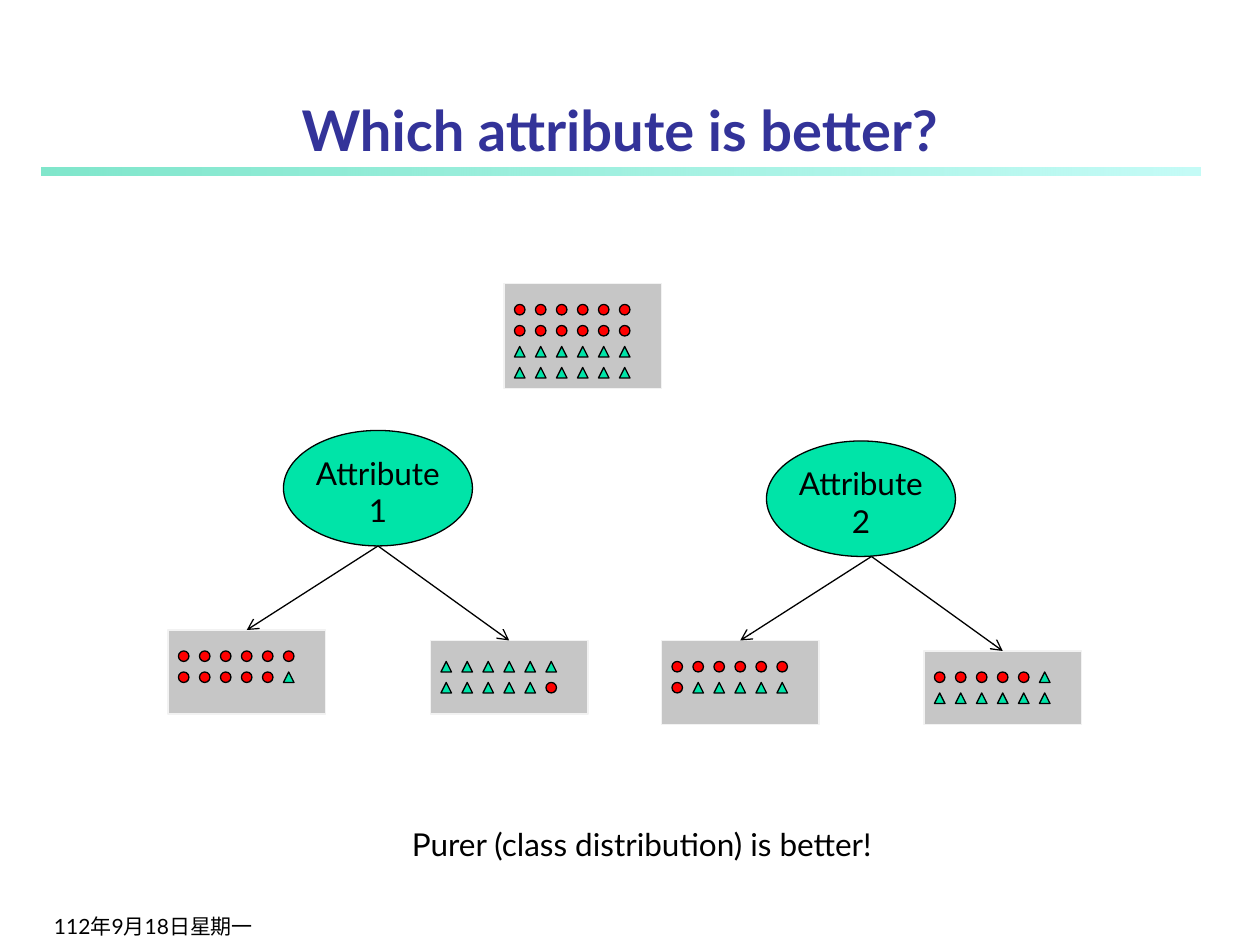
from lxml import etree
from pptx import Presentation
from pptx.dml.color import RGBColor
from pptx.enum import shapes as sh, text as tx
from pptx.oxml import ns
from pptx.util import Inches, Pt

FONT = "Lato"
COLORS = {"black": "000000", "title": "333399", "red": "FF0000", "green": "00E4A8",
          "box": "C6C6C6", "edge": "F2F2F2", "bar": "00CE98", "fade": "8FF9EF"}
KINDS = {"o": (sh.MSO_SHAPE.OVAL, "red"),
         "^": (sh.MSO_SHAPE.ISOSCELES_TRIANGLE, "green")}

# All diagram positions are in twelfths of an inch.
ROOT = ((48, 27, 15, 10), ["oooooo", "oooooo", "^^^^^^", "^^^^^^"])
TREES = [
    {"oval": (27, 41, 18, 11), "lines": ["Attribute", "1"], "start": (36, 52),
     "leaves": [((16, 60, 15, 8), ["oooooo", "ooooo^"]),
                ((41, 61, 15, 7), ["^^^^^^", "^^^^^o"])]},
    {"oval": (73, 42, 18, 11), "lines": ["Attribute", "2"], "start": (83, 53),
     "leaves": [((63, 61, 15, 8), ["oooooo", "o^^^^^"]),
                ((88, 62, 15, 7), ["ooooo^", "^^^^^^"])]},
]
LEFT, MID = tx.PP_ALIGN.LEFT, tx.PP_ALIGN.CENTER
TOP, LOW = tx.MSO_ANCHOR.TOP, tx.MSO_ANCHOR.BOTTOM
# text, place in inches, size, colour, bold, alignment, anchor, wrap
TEXTS = [
    ("112年9月18日星期一", (0.33, 7.08, 2.08, 0.42), 12, "black", False, LEFT, LOW, True),
    ("Which attribute is better?", (0.42, 0.17, 9, 1.17), 32, "title", True, MID, LOW, True),
    ("Purer (class distribution) is better!", (3.17, 6.5, 4, 0.4), 18, "black", False,
     LEFT, TOP, False),
]

prs = Presentation()
prs.slide_width, prs.slide_height = Inches(10), Inches(7.5)
slide = prs.slides.add_slide(prs.slide_layouts[6])


def rgb(name):
    return RGBColor.from_string(COLORS[name])


def unit(*nums):
    return [Inches(n / 12) for n in nums]


def write(shape, lines, size, color, bold, align, anchor, wrap):
    frame = shape.text_frame
    frame.word_wrap, frame.vertical_anchor = wrap, anchor
    for i, line in enumerate(lines):
        para = frame.add_paragraph() if i else frame.paragraphs[0]
        para.alignment = align
        run = para.add_run()
        run.text = line
        run.font.name, run.font.size, run.font.bold = FONT, Pt(size), bold
        run.font.color.rgb = rgb(color)


def draw(kind, place, fill, line="black"):
    shape = slide.shapes.add_shape(kind, *unit(*place))
    shape.shadow.inherit = False
    shape.fill.solid()
    shape.fill.fore_color.rgb = rgb(fill)
    shape.line.color.rgb = rgb(line)
    shape.line.width = Pt(0.75)
    return shape


def sample(place, rows):
    """Draw a box holding a grid of class marks."""
    box = draw(sh.MSO_SHAPE.RECTANGLE, place, "box", "edge")
    for r, row in enumerate(rows):
        for c, mark in enumerate(row):
            kind, fill = KINDS[mark]
            draw(kind, (place[0] + 1 + 2 * c, place[1] + 2 + 2 * r, 1, 1), fill)
    return box


def arrow(start, box):
    line = slide.shapes.add_connector(sh.MSO_CONNECTOR.STRAIGHT, *unit(*start, *start))
    line.end_connect(box, 0)
    line.line.color.rgb = rgb("black")
    line.line.width = Pt(0.75)
    etree.SubElement(line.line._get_or_add_ln(), ns.qn("a:tailEnd"), type="arrow")
    etree.SubElement(line._element.spPr, ns.qn("a:effectLst"))


def rule():
    """Draw the half-transparent bar below the title."""
    bar = slide.shapes.add_shape(sh.MSO_SHAPE.RECTANGLE, Inches(0.33), Inches(1.33),
                                 Inches(9.2), Inches(0.06))
    bar.shadow.inherit = False
    bar.line.fill.background()
    bar.fill.gradient()
    bar.fill.gradient_angle = 0
    for stop, pos, name, alpha in zip(bar.fill.gradient_stops, (0, 1),
                                      ("bar", "fade"), (50, 52)):
        stop.position = pos
        stop.color.rgb = rgb(name)
    for clr, alpha in zip(bar._element.spPr.iter(ns.qn("a:srgbClr")), (50, 52)):
        etree.SubElement(clr, ns.qn("a:alpha"), val=str(alpha * 1000))


rule()
for words, place, *style in TEXTS:
    write(slide.shapes.add_textbox(*map(Inches, place)), [words], *style)
sample(*ROOT)
for tree in TREES:
    oval = draw(sh.MSO_SHAPE.OVAL, tree["oval"], "green")
    write(oval, tree["lines"], 18, "black", False, MID, TOP, False)
    for leaf in tree["leaves"]:
        arrow(tree["start"], sample(*leaf))

prs.save("out.pptx")
